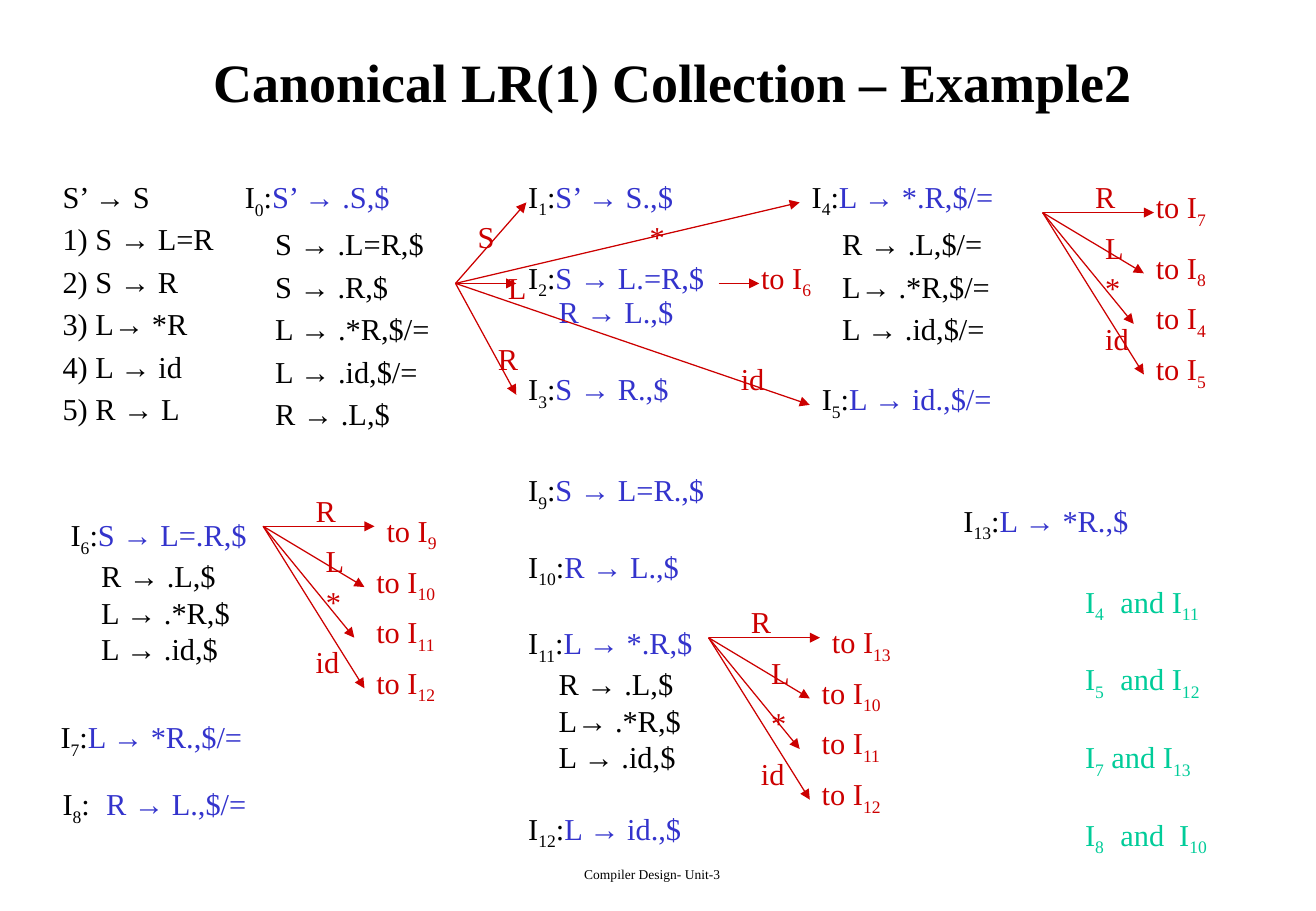
import dataclasses
import pptx
import pptx.dml.color
import pptx.enum.shapes
import pptx.enum.text
import pptx.oxml
import pptx.oxml.ns
import pptx.util


@dataclasses.dataclass(frozen=True)
class Theme:
    font: str = "Times New Roman"
    black: str = "000000"
    blue: str = "3333CC"
    red: str = "CC0000"
    green: str = "00CC99"
    title: int = 32
    body: int = 18
    footer: int = 8
    arrow: float = 0.75


theme = Theme()
PX = 7620
SUBSCRIPT = "-25000"

presentation = pptx.Presentation()
presentation.slide_width = 1300 * PX
presentation.slide_height = 900 * PX
slide = presentation.slides.add_slide(presentation.slide_layouts[5])


def add_text(text, left, top, width, height, shape=None, size=theme.body, color=theme.black,
             accent=theme.blue, bold=False, align="LEFT", anchor="TOP",
             indent=30, line_gap=0, item_gap=0, tabs=()):
    if shape is None:
        shape = slide.shapes.add_textbox(0, 0, 0, 0)
    shape.left, shape.top, shape.width, shape.height = [n * PX for n in (left, top, width, height)]
    frame = shape.text_frame
    frame.word_wrap = True
    frame.auto_size = pptx.enum.text.MSO_AUTO_SIZE.NONE
    frame.vertical_anchor = getattr(pptx.enum.text.MSO_ANCHOR, anchor)
    for row, line in enumerate(text.split("\n")):
        paragraph = frame.paragraphs[0] if row == 0 else frame.add_paragraph()
        properties = paragraph._p.get_or_add_pPr()
        is_item = line.startswith("I|")
        if row and not is_item:
            properties.set("marL", str(indent * PX))
        if tabs:
            tab_list = pptx.oxml.parse_xml(f'<a:tabLst {pptx.oxml.ns.nsdecls("a")}/>')
            for position in tabs:
                tab = tab_list.makeelement(pptx.oxml.ns.qn("a:tab"), {"pos": str(position * PX), "algn": "l"})
                tab_list.append(tab)
            properties.append(tab_list)
        paragraph.alignment = getattr(pptx.enum.text.PP_ALIGN, align)
        if row:
            paragraph.space_before = pptx.util.Pt(item_gap if is_item else line_gap)
        pieces = []
        for index, part in enumerate(line.split("|")):
            if part.startswith(":"):
                pieces += [(":", color, False), (part[1:], accent, False)]
            elif part:
                pieces.append((part, color, index % 2 == 1))
        for piece, piece_color, subscript in pieces:
            run = paragraph.add_run()
            run.text = piece
            run.font.name = theme.font
            run.font.size = pptx.util.Pt(size)
            run.font.bold = bold
            run.font.color.rgb = pptx.dml.color.RGBColor.from_string(piece_color)
            if subscript:
                run._r.get_or_add_rPr().set("baseline", SUBSCRIPT)


def add_arrow(start, end):
    connector = slide.shapes.add_connector(
        pptx.enum.shapes.MSO_CONNECTOR.STRAIGHT, *[n * PX for n in (*start, *end)])
    connector.line.color.rgb = pptx.dml.color.RGBColor.from_string(theme.red)
    connector.line.width = pptx.util.Pt(theme.arrow)
    namespace = pptx.oxml.ns.nsdecls("a")
    connector.line._get_or_add_ln().append(pptx.oxml.parse_xml(f'<a:tailEnd {namespace} type="triangle"/>'))
    connector._element.spPr.append(pptx.oxml.parse_xml(f"<a:effectLst {namespace}/>"))


add_text("Compiler Design- Unit-3", 401, 850, 487, 30, size=theme.footer, align="CENTER")
add_text("Canonical LR(1) Collection – Example2", 50, 20, 1230, 120, shape=slide.shapes.title,
         size=theme.title, bold=True, align="CENTER", anchor="MIDDLE")

add_text("S’ → S\n1) S → L=R\n2) S → R\n3) L→ *R\n4) L → id\n5) R → L",
         50, 170, 210, 265, indent=0, line_gap=3.6)
add_text("I|0|:S’ → .S,$\nS → .L=R,$\nS → .R,$\nL → .*R,$/=\nL → .id,$/=\nR → .L,$",
         230, 170, 224, 265, line_gap=3.6)
add_text("I|4|:L → *.R,$/=\nR → .L,$/=\nL→ .*R,$/=\nL → .id,$/=", 790, 170, 224, 178, line_gap=3.6)
add_text("I|6|:S → L=.R,$\nR → .L,$\nL → .*R,$\nL → .id,$", 58, 504, 202, 156)
add_text("I|2|:S → L.=R,$", 510, 250, 202, 48)
add_text("R → L.,$", 540, 284, 172, 48, color=theme.blue)
add_text("I|9|:S → L=R.,$\nI|10|:R → L.,$\nI|11|:L → *.R,$\nR → .L,$\nL→ .*R,$\nL → .id,$\nI|12|:L → id.,$",
         510, 460, 202, 408, item_gap=20.7)

for text, left, top, width in [
    ("I|1|:S’ → S.,$", 510, 170, 264),
    ("I|3|:S → R.,$", 510, 360, 168),
    ("I|5|:L → id.,$/=", 800, 370, 198),
    ("I|7|:L → *R.,$/=", 48, 704, 208),
    ("I|8|:\tR → L.,$/=", 50, 770, 208),
    ("I|13|:L → *R.,$", 940, 490, 194),
]:
    add_text(text, left, top, width, 48, tabs=(43,) if "\t" in text else ())

for end in [(520, 200), (510, 280), (790, 200), (510, 390), (800, 400)]:
    add_arrow((450, 280), end)
add_arrow((710, 280), (750, 280))

label_widths = {"S": 41, "L": 43, "R": 45, "*": 40, "id": 48}
labels = [("S", 460, 210), ("L", 490, 260), ("R", 480, 330), ("id", 720, 350), ("*", 630, 210)]
targets = [(6, 740, 250)]

fan_ends = [(110, 0), (100, 60), (90, 110), (100, 160)]
fans = [
    (1030, 210, [(40, -40), (50, 10), (50, 50), (50, 100)],
     [(7, 100, -30), (8, 100, 30), (4, 100, 80), (5, 100, 130)]),
    (260, 520, [(40, -40), (50, 10), (50, 50), (40, 110)],
     [(9, 110, -20), (10, 100, 30), (11, 100, 80), (12, 100, 130)]),
    (700, 630, [(30, -40), (50, 10), (50, 60), (40, 110)],
     [(13, 110, -20), (10, 100, 30), (11, 100, 80), (12, 100, 130)]),
]
for x, y, label_offsets, target_offsets in fans:
    for dx, dy in fan_ends:
        add_arrow((x, y), (x + dx, y + dy))
    labels += [(symbol, x + dx, y + dy) for symbol, (dx, dy) in zip(("R", "L", "*", "id"), label_offsets)]
    targets += [(state, x + dx, y + dy) for state, dx, dy in target_offsets]

for symbol, left, top in labels:
    add_text(symbol, left, top, label_widths[symbol], 48, color=theme.red)
for state, left, top in targets:
    add_text(f"to I|{state}|", left, top, 76 if state < 10 else 86, 48, color=theme.red)

add_text("I|4|\tand I|11|\nI|5|\tand I|12|\nI|7| and I|13|\nI|8|\tand\tI|10|",
         1060, 570, 150, 252, color=theme.green, item_gap=21.5, tabs=(35, 93))

presentation.save("out.pptx")
